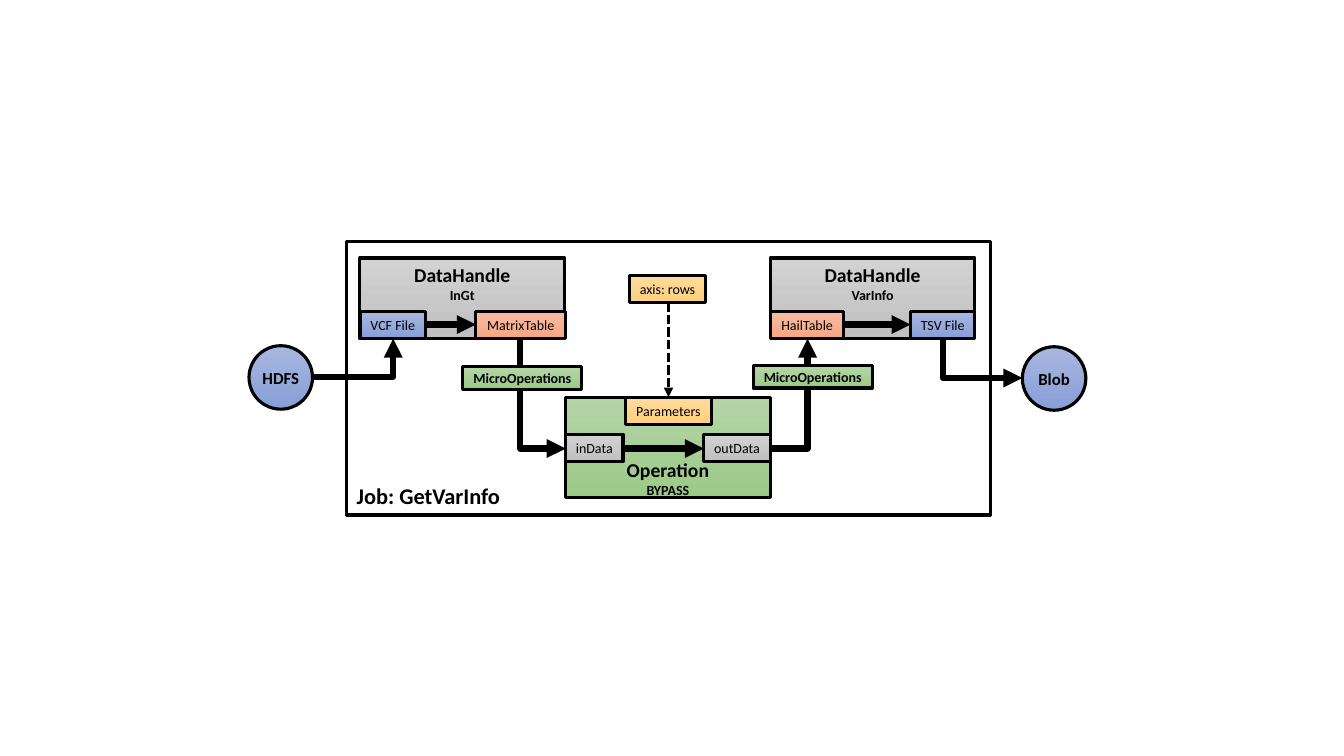
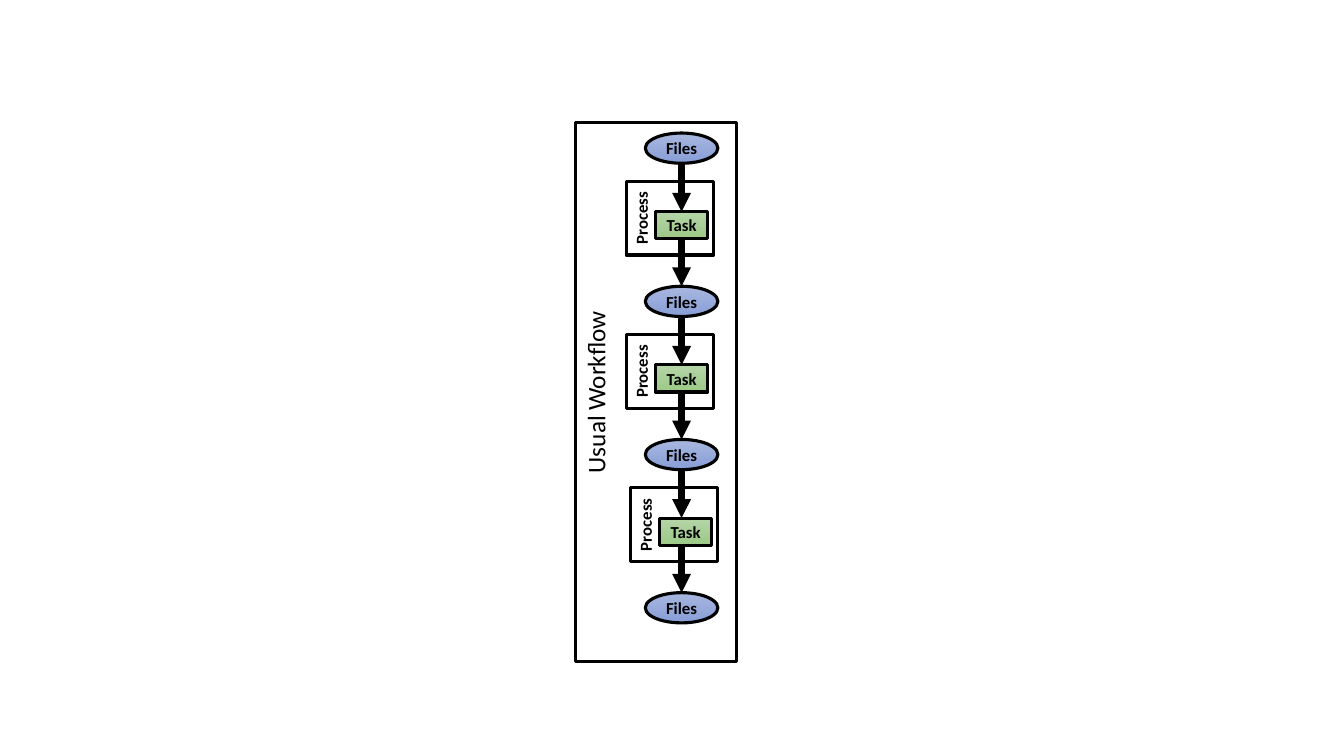
from dataclasses import dataclass

from lxml.etree import SubElement
from pptx import Presentation
from pptx.dml.color import RGBColor
from pptx.enum.dml import MSO_LINE
from pptx.enum.shapes import MSO_CONNECTOR, MSO_SHAPE
from pptx.enum.text import MSO_ANCHOR, PP_ALIGN
from pptx.oxml.ns import qn
from pptx.util import Pt

PX = 9144  # one px is a hundredth of an inch


@dataclass(frozen=True)
class Theme:
    font: str = "Calibri"
    ink: str = "000000"
    white: tuple = ("FFFFFF",)
    # Gradients run from top to bottom
    blue: tuple = ("A8B7DF", "889ED7")
    green: tuple = ("B5D5A7", "9CC987")
    grey: tuple = ("D2D2D2", "C0C0C0")
    yellow: tuple = ("FFDB9E", "FFD07C")
    orange: tuple = ("F7BDA5", "F8A582")
    small: int = 10
    medium: int = 12
    heading: int = 14
    job: int = 16
    workflow: int = 18
    outline: float = 2.25
    flow: float = 4.5


T = Theme()


def add_box(slide, x, y, w, h, fill, lines=(), bold=False, anchor=MSO_ANCHOR.MIDDLE,
            shape=MSO_SHAPE.RECTANGLE, rotation=0):
    """Outlined shape; lines holds (text, size) pairs."""
    sp = slide.shapes.add_shape(shape, x * PX, y * PX, w * PX, h * PX)
    sp.shadow.inherit = False
    sp.rotation = rotation
    sp.line.color.rgb = RGBColor.from_string(T.ink)
    sp.line.width = Pt(T.outline)
    if len(fill) == 1:
        sp.fill.solid()
        sp.fill.fore_color.rgb = RGBColor.from_string(fill[0])
    else:
        sp.fill.gradient()
        sp.fill.gradient_angle = 270
        for stop, position, colour in zip(sp.fill.gradient_stops, (0, 1), fill):
            stop.position = position
            stop.color.rgb = RGBColor.from_string(colour)
    tf = sp.text_frame
    tf.word_wrap = True
    tf.vertical_anchor = anchor
    tf.margin_left = tf.margin_right = 0
    tf.margin_top = 5 * PX
    tf.margin_bottom = 0 if anchor == MSO_ANCHOR.BOTTOM else 5 * PX
    for i, (text, size) in enumerate(lines):
        p = tf.add_paragraph() if i else tf.paragraphs[0]
        p.text = text
        p.alignment = PP_ALIGN.CENTER
        p.font.name, p.font.size, p.font.bold = T.font, Pt(size), bold
        p.font.color.rgb = RGBColor.from_string(T.ink)


def add_arrow(slide, x1, y1, x2, y2, bend="", width=T.flow, dash=None):
    """Arrow; bend is "" (straight), "across" (turns at x2) or "down" (turns at y2)."""
    kind = MSO_CONNECTOR.ELBOW if bend else MSO_CONNECTOR.STRAIGHT
    if bend == "down":  # laid out sideways, then turned by 270 degrees
        cx, cy, dx, dy = (x1 + x2) / 2, (y1 + y2) / 2, (x2 - x1) / 2, (y2 - y1) / 2
        x1, y1, x2, y2 = cx + dy, cy - dx, cx - dy, cy + dx
    line = slide.shapes.add_connector(kind, *(round(v * PX) for v in (x1, y1, x2, y2)))
    line.line.color.rgb = RGBColor.from_string(T.ink)
    line.line.width = Pt(width)
    if dash:
        line.line.dash_style = dash
    sppr = line._element.spPr
    if bend:
        sppr.find(qn("a:prstGeom")).set("prst", "bentConnector2")
    if bend == "down":
        sppr.find(qn("a:xfrm")).set("rot", "16200000")
    SubElement(sppr.find(qn("a:ln")), qn("a:tailEnd"), type="triangle")
    SubElement(sppr, qn("a:effectLst"))


prs = Presentation()
prs.slide_width, prs.slide_height = 1333 * PX, 750 * PX
blank = prs.slide_layouts[6]

# Slide 1: job frame and its label
s = prs.slides.add_slide(blank)
add_box(s, 344, 240, 638, 271, T.white)
label = s.shapes.add_textbox(344 * PX, 473 * PX, 164 * PX, 37 * PX)
label.text_frame.word_wrap = False
p = label.text_frame.paragraphs[0]
p.text = "Job: GetVarInfo"
p.font.name, p.font.size, p.font.bold = T.font, Pt(T.job), True
p.font.color.rgb = RGBColor.from_string(T.ink)

# Storage at both ends
for x, y, name in ((247, 343, "HDFS"), (1014, 344, "Blob")):
    add_box(s, x, y, 63, 63, T.blue, [(name, T.medium)], True, shape=MSO_SHAPE.OVAL)

# Data handles and the operation
for x, name in ((357, "InGt"), (764, "VarInfo")):
    add_box(s, x, 256, 203, 80, T.grey, [("DataHandle", T.heading), (name, T.small)],
            True, MSO_ANCHOR.TOP)
add_box(s, 561, 394, 203, 100, T.green, [("Operation", T.heading), ("BYPASS", T.small)],
        True, MSO_ANCHOR.BOTTOM)

# Ports and parameters
for x, y, w, fill, name in (
    (357, 309, 65, T.blue, "VCF File"),
    (472, 309, 89, T.orange, "MatrixTable"),
    (764, 309, 73, T.orange, "HailTable"),
    (903, 309, 64, T.blue, "TSV File"),
    (561, 431, 57, T.grey, "inData"),
    (698, 431, 66, T.grey, "outData"),
    (620, 394, 86, T.yellow, "Parameters"),
    (624, 273, 76, T.yellow, "axis: rows"),
):
    add_box(s, x, y, w, 27, fill, [(name, T.small)])

# Data flow, with the micro operations on top of it
for x1, y1, x2, y2, bend in (
    (310, 374, 390, 336, "across"),
    (422, 322, 472, 322, ""),
    (516, 336, 561, 445, "down"),
    (618, 445, 698, 445, ""),
    (764, 445, 801, 336, "across"),
    (837, 322, 903, 322, ""),
    (935, 336, 1014, 375, "down"),
):
    add_arrow(s, x1, y1, x2, y2, bend)
add_arrow(s, 663, 300, 663, 394, width=T.outline, dash=MSO_LINE.SQUARE_DOT)
for x, y in ((459, 364), (747, 363)):
    add_box(s, x, y, 118, 22, T.green, [("MicroOperations", T.small)], True)

# Slide 2: workflow frame
s = prs.slides.add_slide(blank)
add_box(s, 383, 309, 535, 160, T.white, [("Usual Workflow", T.workflow)],
        anchor=MSO_ANCHOR.TOP, rotation=270)

# Three processes, each between two sets of files
pitch, axis = 152, 676
for i, shift in enumerate((0, 0, 4)):
    y = 132 + i * pitch
    add_box(s, 628 + shift, y + 41, 73, 87, T.white, [("Process", T.medium)], True,
            MSO_ANCHOR.TOP, rotation=270)
    add_box(s, 650 + shift, y + 78, 52, 27, T.green, [("Task", T.medium)], True)
    add_arrow(s, axis, y + 30, axis, y + 78)
    add_arrow(s, axis, y + 105, axis, y + pitch)
for i in range(4):
    add_box(s, axis - 36, 132 + i * pitch, 72, 30, T.blue, [("Files", T.medium)], True,
            shape=MSO_SHAPE.OVAL)

prs.save("out.pptx")
